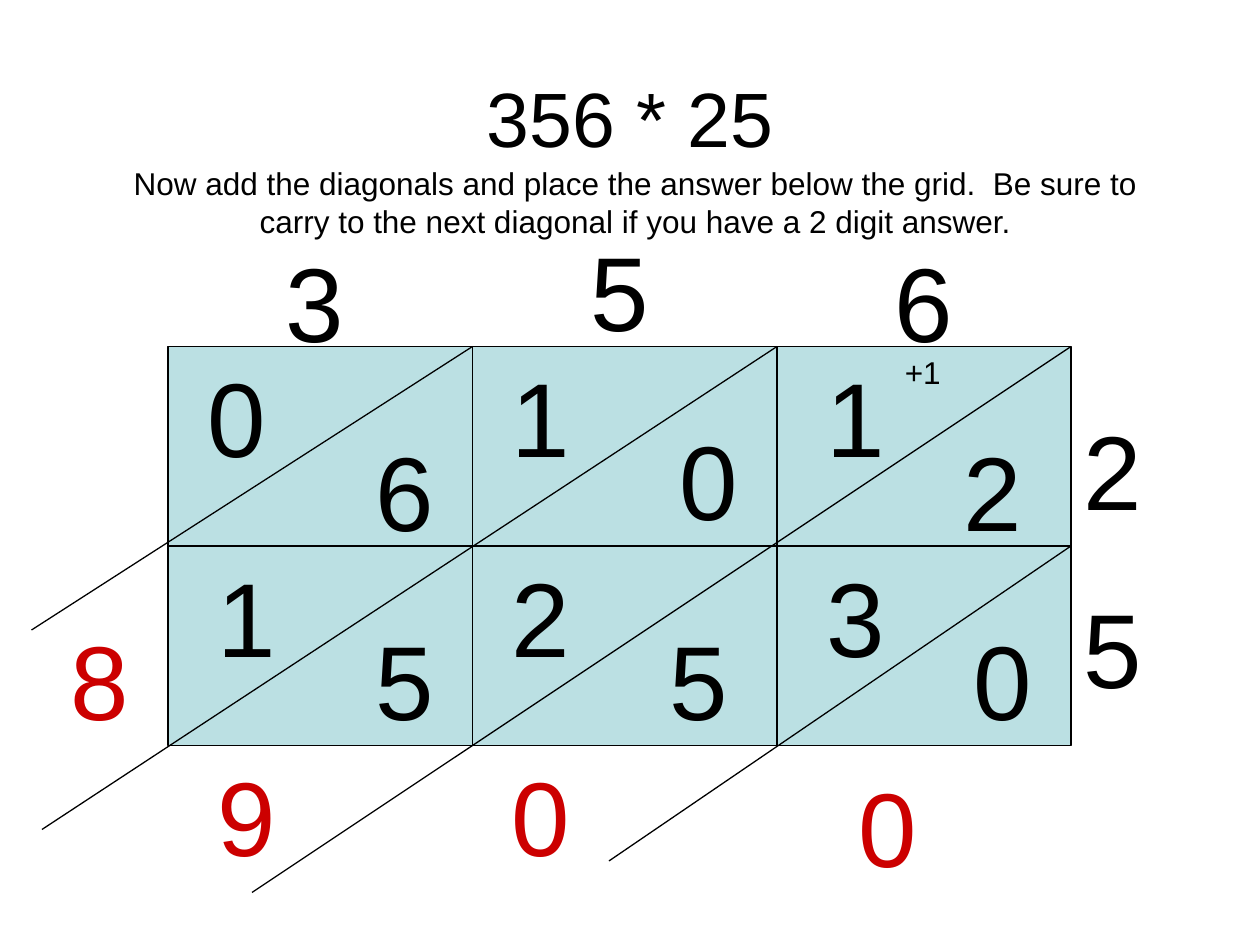
import dataclasses

import pptx
import pptx.dml.color
import pptx.enum.shapes
import pptx.enum.text
import pptx.oxml.ns
import pptx.util
from lxml import etree

ALIGN = pptx.enum.text.PP_ALIGN
COLS, ROWS = 120, 90


@dataclasses.dataclass(frozen=True)
class Theme:
    """Fonts, type sizes and colours of the slide."""
    font: str = "Arial"
    title: int = 44
    digit: int = 60
    note: int = 18
    rule: float = 0.75
    ink: str = "000000"
    answer: str = "CC0000"
    cell: str = "BBE0E3"


class LatticeSlide:
    """Draws elements on one slide, placed in grid columns and rows."""

    def __init__(self, prs, theme):
        self.theme = theme
        self.col = prs.slide_width / COLS
        self.row = prs.slide_height / ROWS
        self.s = prs.slides.add_slide(prs.slide_layouts[1])

    def box(self, x, y, w, h):
        """Turn columns and rows into lengths."""
        return (round(x * self.col), round(y * self.row),
                round(w * self.col), round(h * self.row))

    def set_text(self, sp, text, size, color, align=ALIGN.CENTER):
        """Put one formatted paragraph in a shape."""
        tf = sp.text_frame
        tf.word_wrap = True
        tf.auto_size = pptx.enum.text.MSO_AUTO_SIZE.NONE
        p = tf.paragraphs[0]
        p.text = text
        p.alignment = align
        p.space_before = pptx.util.Pt(0)
        p.font.name = self.theme.font
        p.font.size = pptx.util.Pt(size)
        p.font.color.rgb = pptx.dml.color.RGBColor.from_string(color)
        return p

    def placeholder(self, index, place, text, size):
        """Move and fill a template placeholder."""
        sp = self.s.placeholders[index]
        sp.left, sp.top, sp.width, sp.height = self.box(*place)
        return self.set_text(sp, text, size, self.theme.ink)

    def title(self, place, text):
        """Fill the title."""
        self.placeholder(0, place, text, self.theme.title)

    def body(self, place, text):
        """Fill the body as plain text without a bullet."""
        p = self.placeholder(1, place, text, self.theme.note)
        pPr = p._p.get_or_add_pPr()
        pPr.set("marL", "0")
        pPr.set("indent", "0")
        bullet = etree.Element(pptx.oxml.ns.qn("a:buNone"))
        pPr.insert_element_before(bullet, "a:tabLst", "a:defRPr", "a:extLst")

    def text(self, place, text, size, color, align=ALIGN.CENTER):
        """Add a text box."""
        sp = self.s.shapes.add_textbox(*self.box(*place))
        self.set_text(sp, text, size, color, align)

    def digit(self, x, y, text, color=None, width=13):
        """Add one large digit."""
        self.text((x, y, width, 13.2), text, self.theme.digit, color or self.theme.ink)

    def panel(self, place):
        """Add the filled outline of the lattice."""
        sp = self.s.shapes.add_shape(pptx.enum.shapes.MSO_SHAPE.RECTANGLE, *self.box(*place))
        sp.shadow.inherit = False
        sp.fill.solid()
        sp.fill.fore_color.rgb = pptx.dml.color.RGBColor.from_string(self.theme.cell)
        self.stroke(sp)
        return sp

    def stroke(self, sp):
        """Style a line or an outline."""
        sp.line.color.rgb = pptx.dml.color.RGBColor.from_string(self.theme.ink)
        sp.line.width = pptx.util.Pt(self.theme.rule)

    def line(self, x1, y1, x2, y2):
        """Add a straight line."""
        ends = self.box(x1, y1, x2, y2)
        line = self.s.shapes.add_connector(pptx.enum.shapes.MSO_CONNECTOR.STRAIGHT, *ends)
        self.stroke(line)
        etree.SubElement(line._element.spPr, pptx.oxml.ns.qn("a:effectLst"))
        return line


def main():
    """Build the lattice multiplication slide."""
    prs = pptx.Presentation()
    prs.slide_width = pptx.util.Inches(10)
    prs.slide_height = pptx.util.Inches(7.5)
    theme = Theme()
    slide = LatticeSlide(prs, theme)
    left, inner, right = 16, (45, 74), 102
    top, middle, bottom = 33, 52, 71

    slide.title((6, 3.6, 108, 15), "356 * 25")
    slide.body((10, 15, 101, 8.4),
               "Now add the diagonals and place the answer below the grid.  "
               "Be sure to carry to the next diagonal if you have a 2 digit answer.")

    panel = slide.panel((left, top, right - left, bottom - top))
    divider = slide.line(left, middle, right, middle)
    divider.begin_connect(panel, 1)
    divider.end_connect(panel, 3)
    for x in inner:
        slide.line(x, top, x, bottom)
    diagonals = [(45, top, 3, 60), (74, top, 4, 79),
                 (right, top, 24, 85), (right, middle, 58, 82)]
    for ends in diagonals:
        slide.line(*ends)

    factors = [(21, 22, "3"), (50, 21, "5"), (79, 22, "6"), (97, 38, "2"), (97, 55, "5")]
    for x, y, text in factors:
        slide.digit(x, y, text, width=18)

    products = [(16, top, "0"), (32, 40, "6"), (45, top, "1"),
                (61, 39, "0"), (75, top, "1"), (88, 40, "2"),
                (17, middle, "1"), (32, 58, "5"), (45, middle, "2"),
                (60, 58, "5"), (75, middle, "3"), (89, 58, "0")]
    for x, y, text in products:
        slide.digit(x, y, text)

    answers = [(3, 58, "8"), (17, bottom, "9"), (45, bottom, "0"), (78, 72, "0")]
    for x, y, text in answers:
        slide.digit(x, y, text, theme.answer)

    slide.text((85, top, 6, 4.8), "+1", theme.note, theme.ink, ALIGN.LEFT)
    prs.save("out.pptx")


if __name__ == "__main__":
    main()
